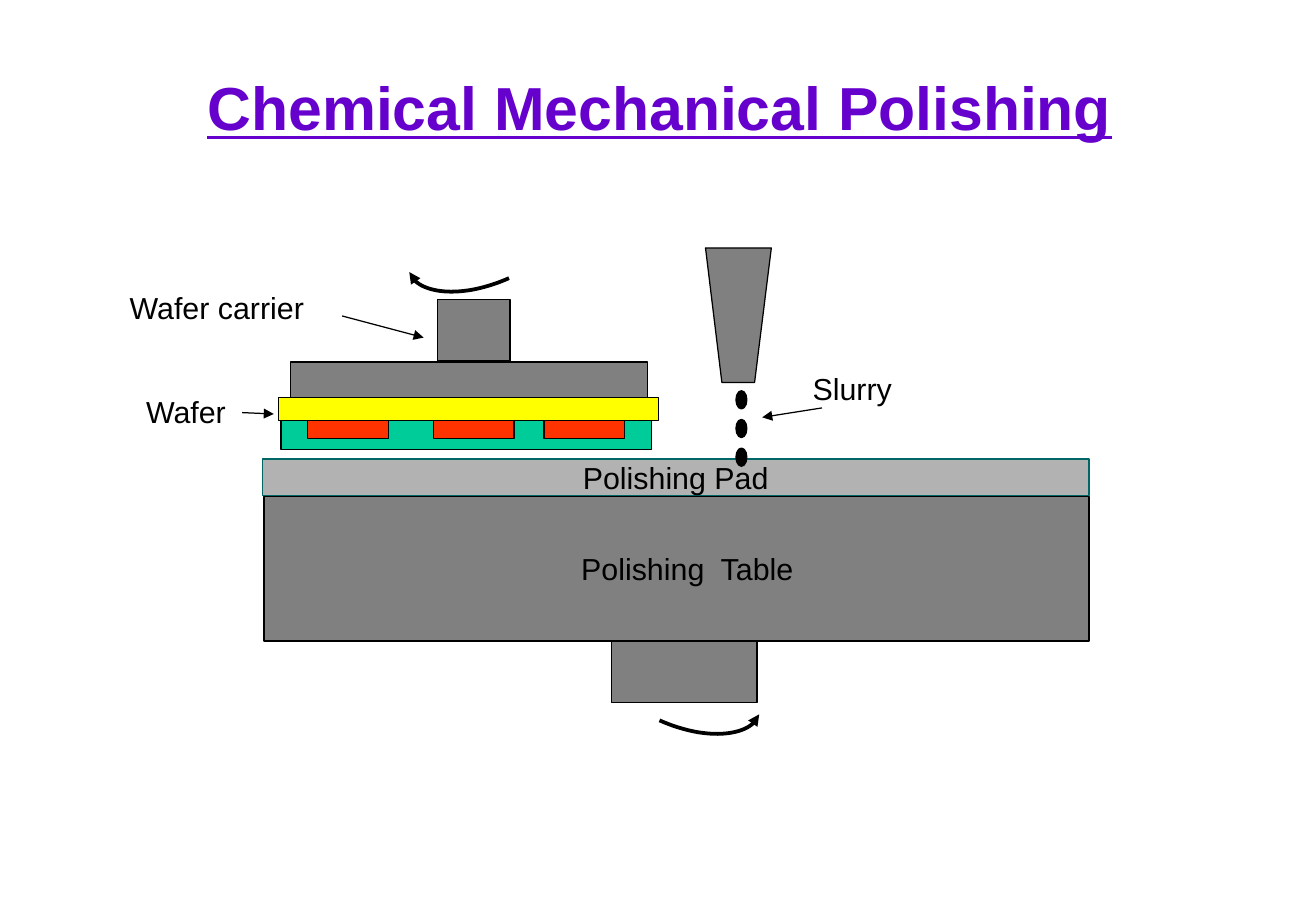
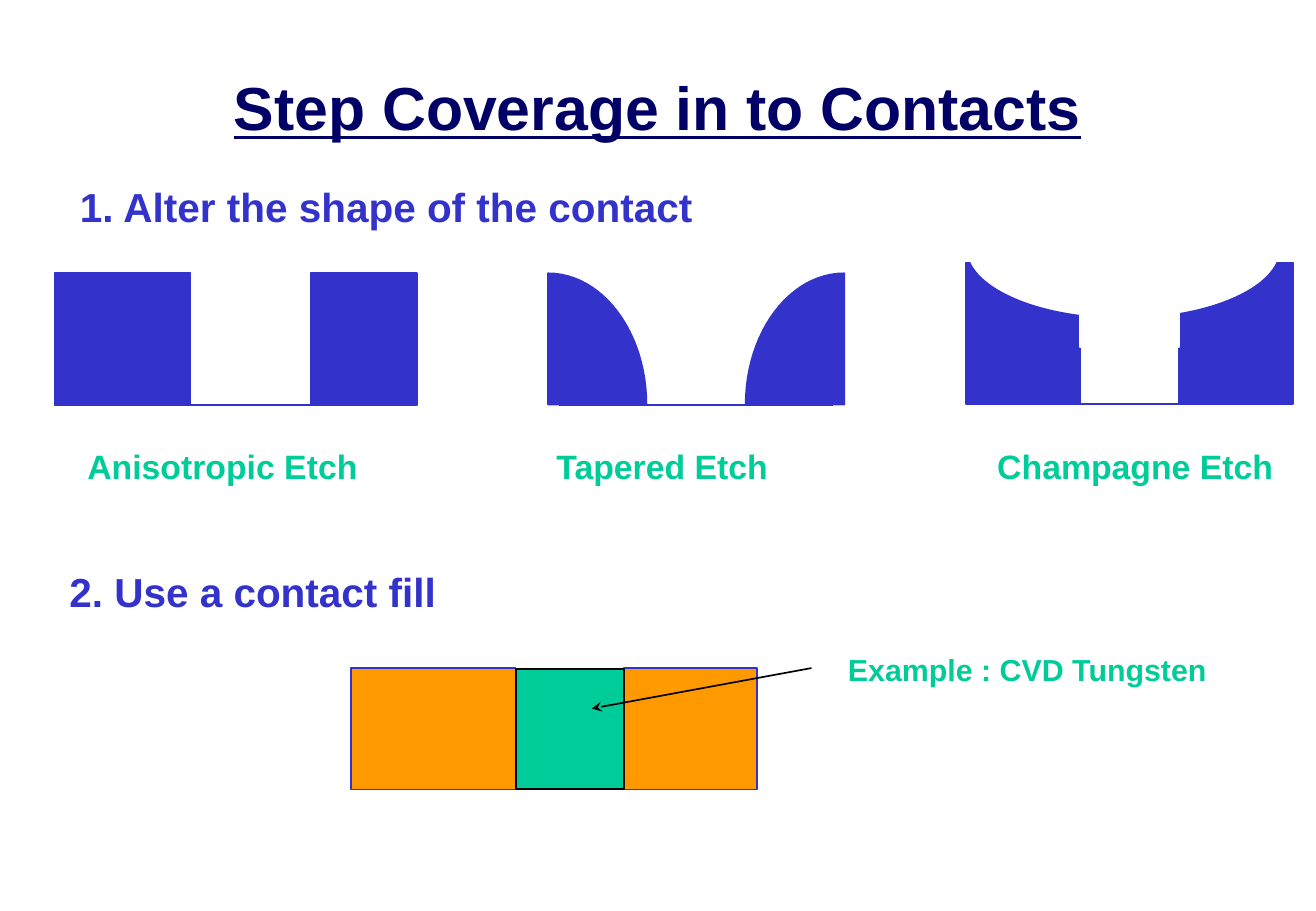
"""Builds two slides on wafer polishing and contact step coverage."""
import dataclasses

import pptx
import pptx.dml.color
import pptx.enum.shapes
import pptx.enum.text
import pptx.oxml
import pptx.oxml.ns
import pptx.util

Pt = pptx.util.Pt
SHAPE = pptx.enum.shapes.MSO_SHAPE
ALIGN = pptx.enum.text.PP_ALIGN
ANCHOR = pptx.enum.text.MSO_ANCHOR


@dataclasses.dataclass(frozen=True)
class Theme:
    font: str = "Arial"
    title_size: float = 36
    heading_size: float = 24
    caption_size: float = 20
    label_size: float = 18
    thin: float = 0.75
    outline: float = 1
    thick: float = 2.25
    black: str = "000000"
    white: str = "FFFFFF"
    purple: str = "6600CC"
    navy: str = "000066"
    blue: str = "3333CC"
    green: str = "00CC99"
    grey: str = "808080"
    pad: str = "B2B2B2"
    teal: str = "006666"
    yellow: str = "FFFF00"
    red: str = "FF3300"
    orange: str = "FF9900"


THEME = Theme()


def rgb(code):
    return pptx.dml.color.RGBColor.from_string(code)


def write(frame, text, size, color, bold=False, align=ALIGN.LEFT, underline=None):
    para = frame.paragraphs[0]
    para.alignment = align
    span = para.add_run()
    span.text = text
    font = span.font
    font.name, font.size, font.bold, font.underline = THEME.font, Pt(size), bold, underline
    font.color.rgb = rgb(color)


def add_page(deck, title, color, left, top, width, height):
    page = deck.slides.add_slide(deck.slide_layouts[5])
    box = page.shapes.title
    box.left, box.top, box.width, box.height = Pt(left), Pt(top), Pt(width), Pt(height)
    frame = box.text_frame
    frame.word_wrap = True
    frame.auto_size = pptx.enum.text.MSO_AUTO_SIZE.NONE
    frame.vertical_anchor = ANCHOR.MIDDLE
    write(frame, title, THEME.title_size, color, True, ALIGN.CENTER, True)
    return page


def add_label(page, text, left, top, width, height, size=THEME.label_size,
              color=THEME.black, bold=False, align=ALIGN.LEFT):
    box = page.shapes.add_textbox(Pt(left), Pt(top), Pt(width), Pt(height))
    box.text_frame.word_wrap = False
    write(box.text_frame, text, size, color, bold, align)


def paint(shape, fill, line, weight):
    shape.shadow.inherit = False
    if fill:
        shape.fill.solid()
        shape.fill.fore_color.rgb = rgb(fill)
    else:
        shape.fill.background()
    shape.line.color.rgb = rgb(line)
    shape.line.width = Pt(weight)


def add_block(page, left, top, width, height, fill, line=THEME.black,
              weight=THEME.thin, kind=SHAPE.RECTANGLE):
    block = page.shapes.add_shape(kind, Pt(left), Pt(top), Pt(width), Pt(height))
    paint(block, fill, line, weight)
    return block


def add_outline(page, points, fill, line, weight, closed=True):
    corners = [(Pt(x), Pt(y)) for x, y in points]
    builder = page.shapes.build_freeform(*corners[0], scale=1.0)
    builder.add_line_segments(corners[1:], close=closed)
    outline = builder.convert_to_shape()
    paint(outline, fill, line, weight)
    return outline


def add_arrowhead(shape, end, kind):
    head = pptx.oxml.parse_xml(f'<a:{end} {pptx.oxml.ns.nsdecls("a")} type="{kind}"/>')
    shape.line._get_or_add_ln().append(head)


def add_line(page, start, finish, color=THEME.black, weight=THEME.thin, head=None):
    line = page.shapes.add_connector(
        pptx.enum.shapes.MSO_CONNECTOR.STRAIGHT, *map(Pt, (*start, *finish)))
    line.line.color.rgb = rgb(color)
    line.line.width = Pt(weight)
    if head:
        add_arrowhead(line, "tailEnd", head)
    line.element.spPr.append(
        pptx.oxml.parse_xml(f'<a:effectLst {pptx.oxml.ns.nsdecls("a")}/>'))


def bezier(start, first, second, finish, steps=24):
    points = []
    for step in range(steps + 1):
        t = step / steps
        weights = ((1 - t) ** 3, 3 * t * (1 - t) ** 2, 3 * t * t * (1 - t), t ** 3)
        points.append(tuple(
            sum(weight * value for weight, value in zip(weights, values))
            for values in zip(start, first, second, finish)))
    return points


def mirror(points, axis, drop=0):
    return [(2 * axis - x, y + drop) for x, y in points]


def add_rotation_arrow(page, points):
    arrow = add_outline(page, points, None, THEME.black, THEME.thick, closed=False)
    add_arrowhead(arrow, "headEnd", "triangle")


def build_polishing(deck):
    page = add_page(deck, "Chemical Mechanical Polishing", THEME.purple,
                    100, 18, 582, 90.5)
    add_block(page, 166.5, 249, 219.5, 17.5, THEME.green)
    add_block(page, 156.5, 294.5, 489, 85.5, THEME.grey)
    pad = add_block(page, 155.5, 272, 490, 21.8, THEME.pad, THEME.teal)
    pad.text_frame.word_wrap = False
    pad.text_frame.vertical_anchor = ANCHOR.MIDDLE
    write(pad.text_frame, "Polishing Pad", THEME.label_size, THEME.black, align=ALIGN.CENTER)
    add_block(page, 172, 214.6, 211.7, 24, THEME.grey)
    add_block(page, 259.2, 177.6, 43.2, 36.5, THEME.grey)
    add_block(page, 165, 235.5, 225.3, 13.7, THEME.yellow)
    for left in (182.4, 257, 322.4):
        add_block(page, left, 249.2, 47.7, 10.8, THEME.red)
    add_outline(page, [(418.2, 147), (457.2, 147), (447.3, 226.7), (427.9, 226.7)],
                THEME.grey, THEME.black, THEME.thin)
    for index in range(3):
        add_block(page, 436.2, 231.6 + 17 * index, 6.5, 10.8, THEME.black,
                  kind=SHAPE.OVAL)
    add_block(page, 362.3, 380.2, 86.5, 36.4, THEME.grey)
    for text, left, top, width in (
            ("Slurry", 474.5, 215.6, 61.2),
            ("Wafer carrier", 69.5, 168, 118),
            ("Wafer", 79.2, 229.7, 62),
            ("Polishing  Table", 336.1, 322.6, 142.5)):
        add_label(page, text, left, top, width, 28.8, align=ALIGN.CENTER)
    turn = (bezier((242.6, 161.3), (244.8, 167.8), (252.7, 172.1), (264.2, 172.8))
            + bezier((264.2, 172.8), (275.8, 173.5), (288.7, 170.6), (301.7, 164.9))[1:])
    add_rotation_arrow(page, turn)
    add_rotation_arrow(page, mirror(turn, 346.3, 262.1))
    for start, finish in (((143.5, 244.6), (162.3, 245.4)),
                          ((202.8, 187.3), (251.1, 200.1)),
                          ((487.2, 241.8), (451.8, 247.4))):
        add_line(page, start, finish, head="triangle")


def add_profile(page, edges, top, bottom, fill):
    left, hole_left, hole_right, right = edges
    add_outline(page, [(left, top), (hole_left, top), (hole_left, bottom),
                       (hole_right, bottom), (hole_right, top), (right, top),
                       (right, bottom), (left, bottom)], fill, THEME.blue, THEME.outline)


def build_coverage(deck):
    page = add_page(deck, "Step Coverage in to Contacts", THEME.navy,
                    58.5, 18, 662.4, 90)
    add_profile(page, (32.4, 113, 184, 247.2), 162, 240, THEME.blue)
    wedge = [*bezier((324.8, 162), (357.1, 162), (383.2, 197), (383.2, 239.8)),
             (324.8, 239.8)]
    for points in (wedge, mirror(wedge, 412.6)):
        add_outline(page, points, THEME.blue, THEME.blue, THEME.outline)
    add_line(page, (331.2, 240), (493.9, 240), THEME.blue, THEME.outline)
    for left, top, width, height, fill, line, kind in (
            (572.6, 155.5, 193.7, 84, THEME.blue, THEME.blue, SHAPE.RECTANGLE),
            (572.6, 105.3, 186.5, 83.5, THEME.white, THEME.blue, SHAPE.OVAL),
            (566, 96.5, 200.2, 58.3, THEME.white, THEME.white, SHAPE.RECTANGLE),
            (640, 189.4, 59, 49.9, THEME.white, THEME.blue, SHAPE.RECTANGLE),
            (640, 181.4, 59, 24.5, THEME.white, THEME.white, SHAPE.RECTANGLE)):
        add_block(page, left, top, width, height, fill, line, THEME.outline, kind)
    for text, left, width in (("Anisotropic Etch", 44.7, 175),
                              ("Tapered Etch", 322.7, 142),
                              ("Champagne Etch", 584, 178.5)):
        add_label(page, text, left, 260.8, width, 31, THEME.caption_size,
                  THEME.green, True)
    for text, left, top, width in (
            ("1. Alter the shape of the contact", 40.3, 104.6, 378.7),
            ("2. Use a contact fill", 34, 332.8, 231.8)):
        add_label(page, text, left, top, width, 36, THEME.heading_size,
                  THEME.blue, True)
    add_profile(page, (208, 305.5, 370, 448.6), 396, 468, THEME.orange)
    add_block(page, 306, 396.6, 64, 71, THEME.green, weight=THEME.outline)
    add_label(page, "Example : CVD Tungsten", 495.5, 382.6, 229, 28.8,
              color=THEME.green, bold=True)
    add_line(page, (481, 396), (350.8, 420), weight=THEME.outline, head="stealth")


def main():
    deck = pptx.Presentation()
    deck.slide_width, deck.slide_height = Pt(780), Pt(540)
    build_polishing(deck)
    build_coverage(deck)
    deck.save("out.pptx")


if __name__ == "__main__":
    main()
